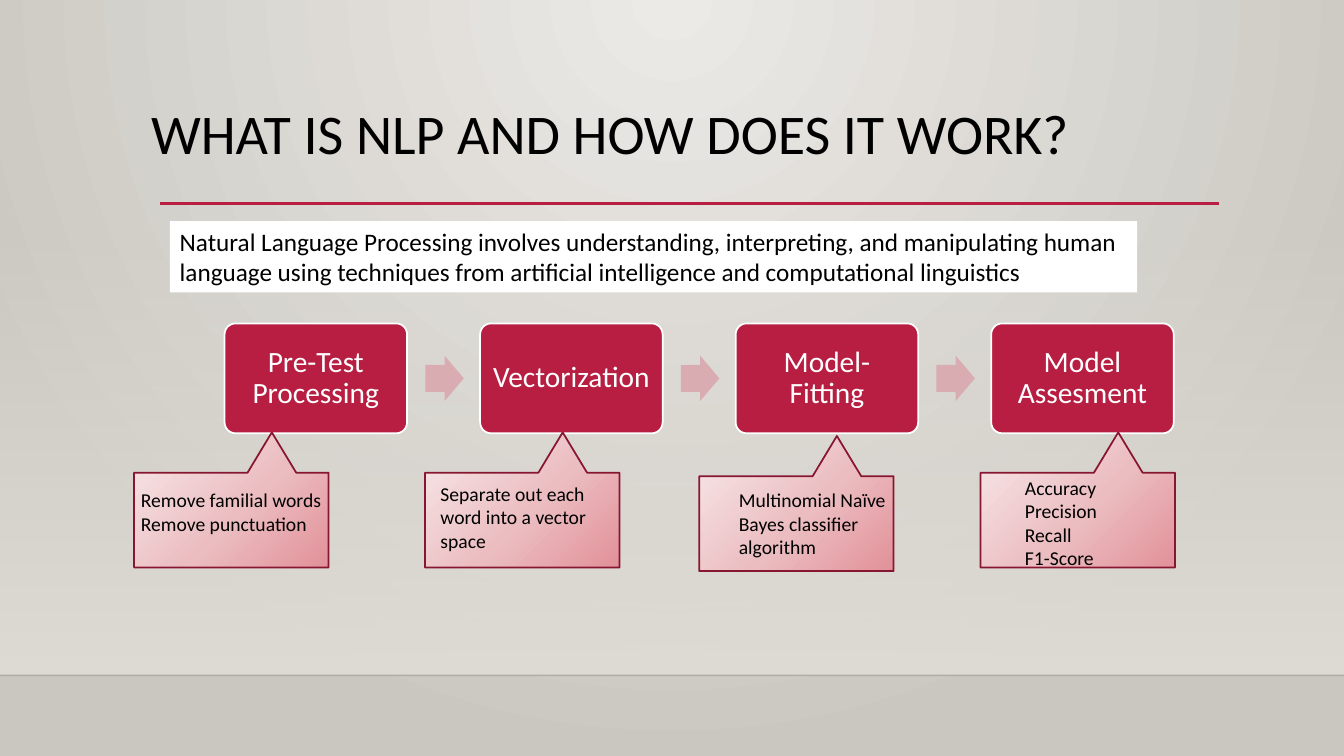
from dataclasses import dataclass

from lxml import etree
from pptx import Presentation
from pptx.dml.color import RGBColor
from pptx.enum.shapes import MSO_CONNECTOR, MSO_SHAPE
from pptx.enum.text import MSO_ANCHOR, PP_ALIGN
from pptx.oxml import parse_xml
from pptx.oxml.ns import nsdecls, qn
from pptx.util import Cm, Pt

RECTANGLE = MSO_SHAPE.RECTANGLE
ROUNDED = MSO_SHAPE.ROUNDED_RECTANGLE
ARROW = MSO_SHAPE.RIGHT_ARROW
CALLOUT = MSO_SHAPE.RECTANGULAR_CALLOUT
STRAIGHT = MSO_CONNECTOR.STRAIGHT
TOP, MIDDLE = MSO_ANCHOR.TOP, MSO_ANCHOR.MIDDLE
LEFT, CENTER = PP_ALIGN.LEFT, PP_ALIGN.CENTER


@dataclass(frozen=True)
class Theme:
    font: str = "Calibri"
    text: str = "000000"
    white: str = "FFFFFF"
    accent: str = "B71E42"
    arrow: str = "D8ACB0"
    callout_line: str = "871631"
    floor_line: str = "000001"
    wall: str = "DFDBD5"
    backdrop: tuple = ("ECEAE7", "CAC7C1")
    callout: tuple = ("E29199", "EBBDC1", "F5DFE1")
    title_size: int = 40
    step_size: int = 21
    body_size: int = 18
    note_size: int = 14
    outline: float = 1.25


@dataclass(frozen=True)
class Area:
    left: float
    top: float
    width: float
    height: float

    def lengths(self) -> tuple:
        return Cm(self.left), Cm(self.top), Cm(self.width), Cm(self.height)


@dataclass(frozen=True)
class Stage:
    name: str
    callout_left: float
    callout_top: float
    note_area: Area
    notes: tuple


THEME = Theme()
SLIDE_WIDTH, SLIDE_HEIGHT = 33.87, 19.05
FLOOR_TOP = 17.02
STEP_LEFT, STEP_TOP, STEP_PITCH = 5.66, 8.15, 6.44
STEP_WIDTH, STEP_HEIGHT, STEP_MARGIN = 4.6, 2.77, 0.2
ARROW_OFFSET, ARROW_WIDTH, ARROW_HEIGHT = 5.06, 0.97, 1.14
CALLOUT_WIDTH, CALLOUT_HEIGHT = 4.9, 2.39
NOTE_INDENT = 1.27

STAGES = (
    Stage("Pre-Test Processing", 3.38, 11.91, Area(2.03, 12.17, 6.96, 1.45),
          ("Remove familial words", "Remove punctuation")),
    Stage("Vectorization", 10.71, 11.91, Area(9.58, 12.01, 5.59, 2.06),
          ("Separate out each word into a vector space",)),
    Stage("Model-Fitting", 17.62, 12, Area(17.1, 12.17, 6.05, 2.06),
          ("Multinomial Naïve Bayes classifier algorithm",)),
    Stage("Model Assesment", 24.71, 11.91, Area(24.31, 11.86, 6.05, 2.64),
          ("Accuracy", "Precision", "Recall", "F1-Score")),
)


def put_gradient(owner, fill, colors: tuple, direction: str, alphas: tuple = ()) -> None:
    """Fill with evenly spaced colour stops along the given direction XML."""
    fill.solid()
    stops = ""
    for index, color in enumerate(colors):
        alpha = f'<a:alpha val="{alphas[index] * 1000}"/>' if alphas else ""
        position = index * 100000 // (len(colors) - 1)
        stops += f'<a:gs pos="{position}"><a:srgbClr val="{color}">{alpha}</a:srgbClr></a:gs>'
    gradient = parse_xml(f'<a:gradFill {nsdecls("a")} rotWithShape="1">'
                         f"<a:gsLst>{stops}</a:gsLst>{direction}</a:gradFill>")
    solid = next(owner.iter(qn("a:solidFill")))
    solid.getparent().replace(solid, gradient)


def linear(degrees: int) -> str:
    return f'<a:lin ang="{degrees * 60000}" scaled="0"/>'


def add_line(page, left: float, right: float, height: float, color: str,
             weight: float, alpha: int = 100) -> None:
    line = page.shapes.add_connector(STRAIGHT, Cm(left), Cm(height), Cm(right), Cm(height))
    line.line.color.rgb = RGBColor.from_string(color)
    line.line.width = Pt(weight)
    etree.SubElement(line.element.spPr, qn("a:effectLst"))
    if alpha < 100:
        paint = next(line.element.iter(qn("a:srgbClr")))
        etree.SubElement(paint, qn("a:alpha")).set("val", str(alpha * 1000))


def add_block(page, kind, area: Area, fill: str = "", outline: str = "",
              adjustments: tuple = ()):
    block = page.shapes.add_shape(kind, *area.lengths())
    block.shadow.inherit = False
    for index, value in enumerate(adjustments):
        block.adjustments[index] = value
    if fill:
        block.fill.solid()
        block.fill.fore_color.rgb = RGBColor.from_string(fill)
    if outline:
        block.line.color.rgb = RGBColor.from_string(outline)
        block.line.width = Pt(THEME.outline)
    else:
        block.line.fill.background()
    return block


def write(box, lines: tuple, size: int, color: str = THEME.text, align=LEFT,
          anchor=TOP, spacing: float = 1.0, indent: float = 0) -> None:
    frame = box.text_frame
    frame.word_wrap = True
    frame.vertical_anchor = anchor
    for index, line in enumerate(lines):
        para = frame.add_paragraph() if index else frame.paragraphs[0]
        for name, value in {"alignment": align, "line_spacing": spacing}.items():
            setattr(para, name, value)
        if indent:
            para.level = 1
            para._p.get_or_add_pPr().set("marL", str(Cm(indent)))
        span = para.add_run()
        span.text = line
        for name, value in {"name": THEME.font, "size": Pt(size)}.items():
            setattr(span.font, name, value)
        span.font.color.rgb = RGBColor.from_string(color)


def add_step(page, index: int, stage: Stage) -> None:
    left = STEP_LEFT + index * STEP_PITCH
    step = add_block(page, ROUNDED, Area(left, STEP_TOP, STEP_WIDTH, STEP_HEIGHT),
                     THEME.accent, THEME.white, (0.1,))
    for side in ("left", "right", "top", "bottom"):
        setattr(step.text_frame, f"margin_{side}", Cm(STEP_MARGIN))
    write(step, (stage.name,), THEME.step_size, THEME.white, CENTER, MIDDLE, 0.9)
    if index < len(STAGES) - 1:
        arrow_top = STEP_TOP + (STEP_HEIGHT - ARROW_HEIGHT) / 2
        add_block(page, ARROW, Area(left + ARROW_OFFSET, arrow_top, ARROW_WIDTH, ARROW_HEIGHT),
                  THEME.arrow, adjustments=(0.6, 0.5))


def add_note(page, stage: Stage) -> None:
    """Draw an upside-down callout, with its upright text in a box above it."""
    area = Area(stage.callout_left, stage.callout_top, CALLOUT_WIDTH, CALLOUT_HEIGHT)
    callout = add_block(page, CALLOUT, area, outline=THEME.callout_line,
                        adjustments=(-0.208, 0.925))
    callout.rotation = 180
    put_gradient(callout.element, callout.fill, THEME.callout, linear(45))
    box = page.shapes.add_textbox(*stage.note_area.lengths())
    write(box, stage.notes, THEME.note_size, indent=NOTE_INDENT)


def main() -> None:
    deck = Presentation()
    deck.slide_width, deck.slide_height = Cm(SLIDE_WIDTH), Cm(SLIDE_HEIGHT)
    page = deck.slides.add_slide(deck.slide_layouts[6])

    radial = '<a:path path="circle"><a:fillToRect l="43000" t="0" r="43000" b="100000"/></a:path>'
    put_gradient(page.element, page.background.fill, THEME.backdrop, radial)
    wall = add_block(page, RECTANGLE, Area(0, 5.61, SLIDE_WIDTH, FLOOR_TOP - 5.61))
    put_gradient(wall.element, wall.fill, (THEME.wall, THEME.wall), linear(90), (0, 100))
    add_line(page, 0, SLIDE_WIDTH, FLOOR_TOP, THEME.floor_line, 1, 20)
    add_line(page, 4.04, 30.73, 5.13, THEME.accent, 2.5)

    title = page.shapes.add_textbox(*Area(3.56, 2.56, 29.21, 2.54).lengths())
    write(title, ("WHAT IS NLP AND HOW DOES IT WORK?",), THEME.title_size, spacing=0.9)

    for index, stage in enumerate(STAGES):
        add_step(page, index, stage)
    for stage in STAGES:
        add_note(page, stage)

    summary = add_block(page, RECTANGLE, Area(4.28, 5.57, 24.38, 1.8), THEME.white)
    write(summary, ("Natural Language Processing involves understanding, interpreting, and "
                    "manipulating human language using techniques from artificial intelligence "
                    "and computational linguistics",), THEME.body_size)
    deck.save("out.pptx")


if __name__ == "__main__":
    main()
